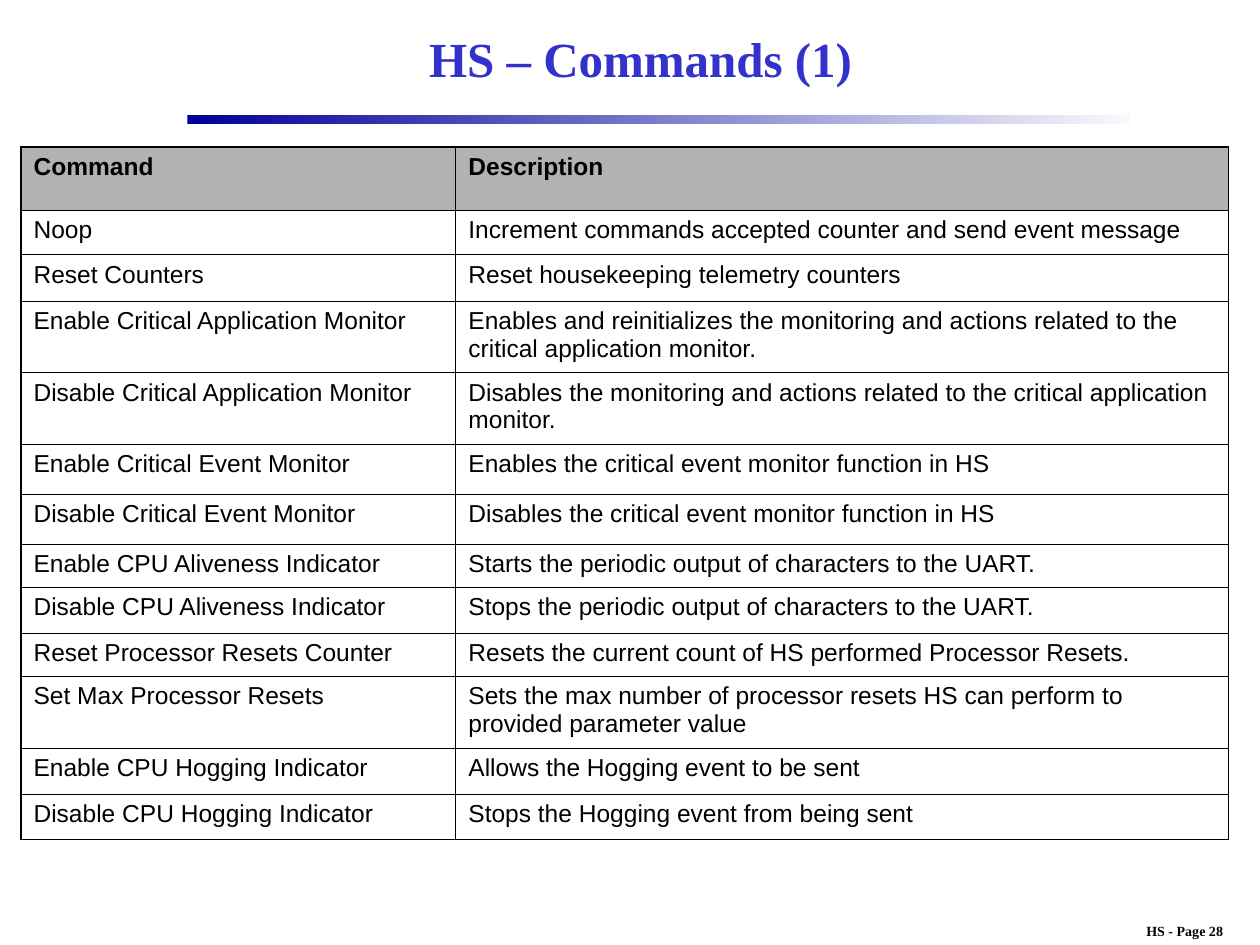
import pptx
import pptx.dml.color
import pptx.enum.shapes
import pptx.enum.text
import pptx.oxml
import pptx.oxml.ns
import pptx.util

Pt = pptx.util.Pt
ALIGN = pptx.enum.text.PP_ALIGN
ANCHOR = pptx.enum.text.MSO_ANCHOR

HEX = {
    "title": "3333CC",
    "text": "000000",
    "edge": "000000",
    "head": "B2B2B2",
    "dark": "000099",
    "pale": "F9F9FD",
}
THICK, THIN = 1.08, 0.45

# Row height, command, description
ROWS = [
    (36, "Command", "Description"),
    (25.5, "Noop", "Increment commands accepted counter and send event message"),
    (26.5, "Reset Counters", "Reset housekeeping telemetry counters"),
    (41, "Enable Critical Application Monitor",
     "Enables and reinitializes the monitoring and actions related to the "
     "critical application monitor."),
    (41, "Disable Critical Application Monitor",
     "Disables the monitoring and actions related to the critical application monitor."),
    (28.5, "Enable Critical Event Monitor",
     "Enables the critical event monitor function in HS"),
    (28.5, "Disable Critical Event Monitor",
     "Disables the critical event monitor function in HS"),
    (24.5, "Enable CPU Aliveness Indicator",
     "Starts the periodic output of characters to the UART."),
    (26.5, "Disable CPU Aliveness Indicator",
     "Stops the periodic output of characters to the UART."),
    (24.5, "Reset Processor Resets Counter",
     "Resets the current count of HS performed Processor Resets."),
    (41, "Set Max Processor Resets",
     "Sets the max number of processor resets HS can perform to provided parameter value"),
    (26.5, "Enable CPU Hogging Indicator", "Allows the Hogging event to be sent"),
    (26, "Disable CPU Hogging Indicator", "Stops the Hogging event from being sent"),
]


def color(name):
    return pptx.dml.color.RGBColor.from_string(HEX[name])


class Deck:
    serif = "Times New Roman"
    sans = "Arial"

    def __init__(self, wide, high):
        self.prs = pptx.Presentation()
        self.prs.slide_width, self.prs.slide_height = Pt(wide), Pt(high)
        self.slide = self.prs.slides.add_slide(self.prs.slide_layouts[5])

    def add_text(self, para, text, size, face, name="text", bold=False):
        run = para.add_run()
        run.text = text
        font = run.font
        font.size, font.name, font.bold = Pt(size), face, bold
        font.color.rgb = color(name)

    def title(self, text, left, top, wide, high):
        shape = self.slide.shapes.title
        shape.left, shape.top = Pt(left), Pt(top)
        shape.width, shape.height = Pt(wide), Pt(high)
        frame = shape.text_frame
        frame.auto_size = pptx.enum.text.MSO_AUTO_SIZE.NONE
        frame.vertical_anchor = ANCHOR.MIDDLE
        para = frame.paragraphs[0]
        para.alignment = ALIGN.CENTER
        self.add_text(para, text, 28, self.serif, "title", True)

    def rule(self, left, top, wide, high):
        """Draw the bar that fades out to the right."""
        bar = self.slide.shapes.add_shape(
            pptx.enum.shapes.MSO_SHAPE.RECTANGLE, Pt(left), Pt(top), Pt(wide), Pt(high))
        bar.shadow.inherit = False
        bar.line.fill.background()
        bar.fill.gradient()
        bar.fill.gradient_angle = 0
        for stop, name in zip(bar.fill.gradient_stops, ("dark", "pale")):
            stop.color.rgb = color(name)

    def label(self, text, left, top, wide, high):
        box = self.slide.shapes.add_textbox(Pt(left), Pt(top), Pt(wide), Pt(high))
        frame = box.text_frame
        frame.word_wrap = False
        para = frame.paragraphs[0]
        para.alignment = ALIGN.CENTER
        self.add_text(para, text, 8, self.serif, bold=True)

    def border(self, cell, widths):
        """Set the left, right, top and bottom lines of a cell."""
        props = cell._tc.get_or_add_tcPr()
        for spot, (side, width) in enumerate(zip("LRTB", widths)):
            props.insert(spot, pptx.oxml.parse_xml(
                f'<a:ln{side} {pptx.oxml.ns.nsdecls("a")} w="{int(Pt(width))}">'
                f'<a:solidFill><a:srgbClr val="{HEX["edge"]}"/></a:solidFill>'
                f'</a:ln{side}>'))

    def table(self, rows, cols, left, top):
        high = sum(row[0] for row in rows)
        table = self.slide.shapes.add_table(
            len(rows), len(cols), Pt(left), Pt(top), Pt(sum(cols)), Pt(high)).table
        table.horz_banding = False
        for col, wide in zip(table.columns, cols):
            col.width = Pt(wide)
        last = len(cols) - 1
        for r, (high, *texts) in enumerate(rows):
            table.rows[r].height = Pt(high)
            head = r == 0
            for c, text in enumerate(texts):
                cell = table.cell(r, c)
                if head:
                    cell.fill.solid()
                    cell.fill.fore_color.rgb = color("head")
                else:
                    cell.fill.background()
                self.border(cell, (THICK if c == 0 else THIN,
                                   THICK if c == last else THIN,
                                   THICK if head else THIN, THIN))
                self.add_text(cell.text_frame.paragraphs[0], text, 14, self.sans, bold=head)


def main():
    deck = Deck(720, 540)
    deck.label("HS - Page 28", 633.5, 523.5, 87, 16.5)
    deck.rule(107, 66, 539, 5)
    deck.title("HS – Commands (1)", 108, 6, 516, 54)
    deck.table(ROWS, (248.5, 441.5), 12, 84)
    deck.prs.save("out.pptx")


if __name__ == "__main__":
    main()
